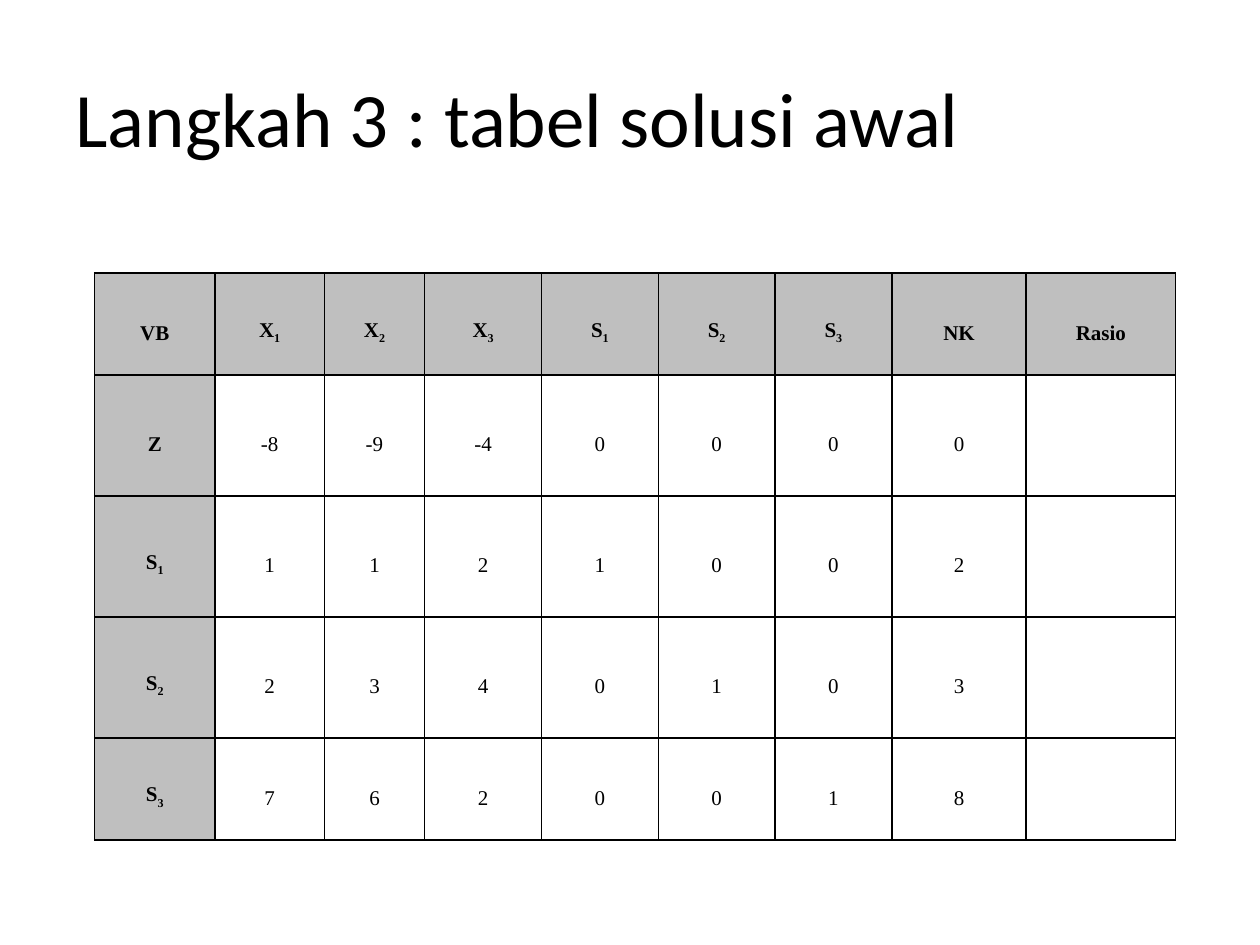
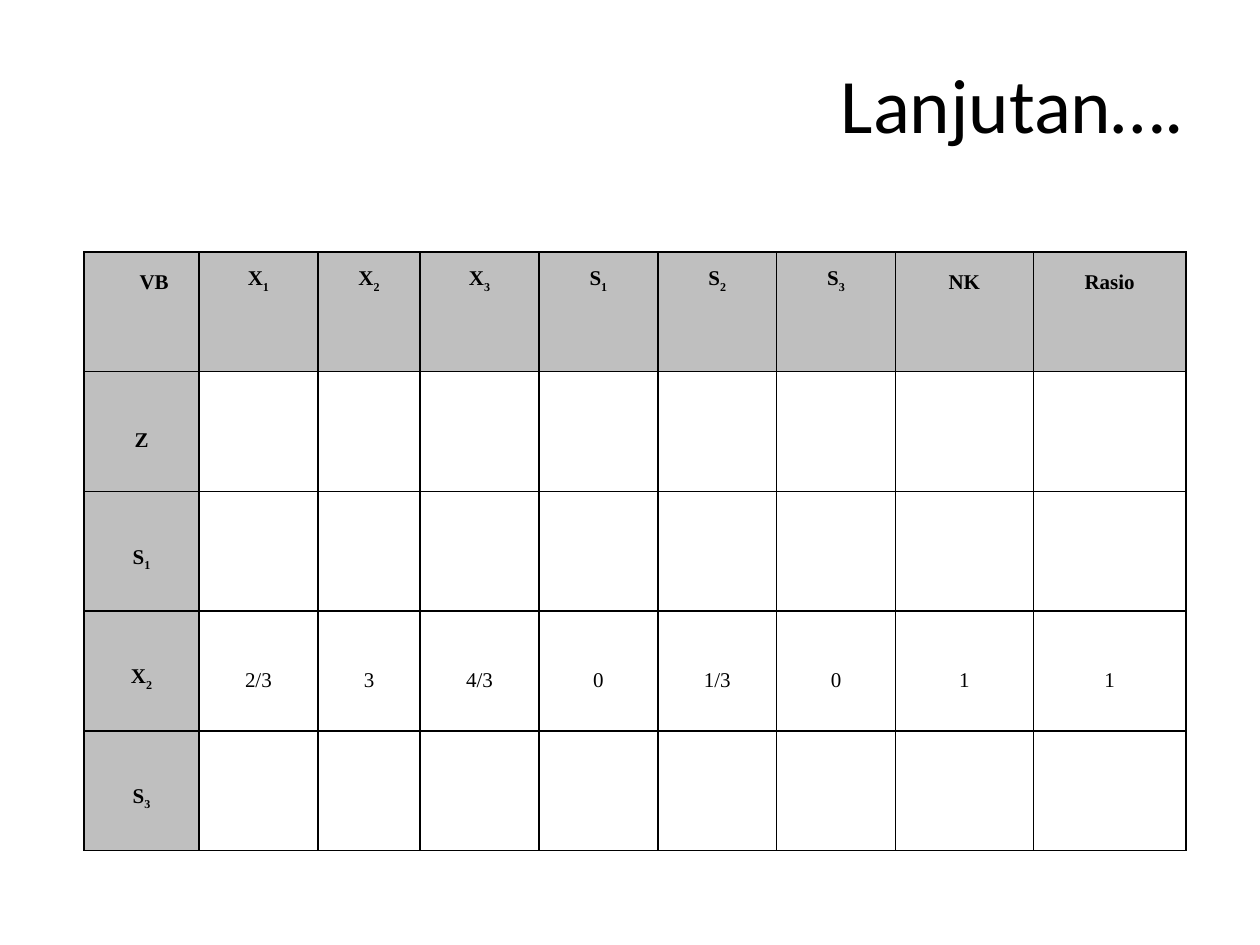
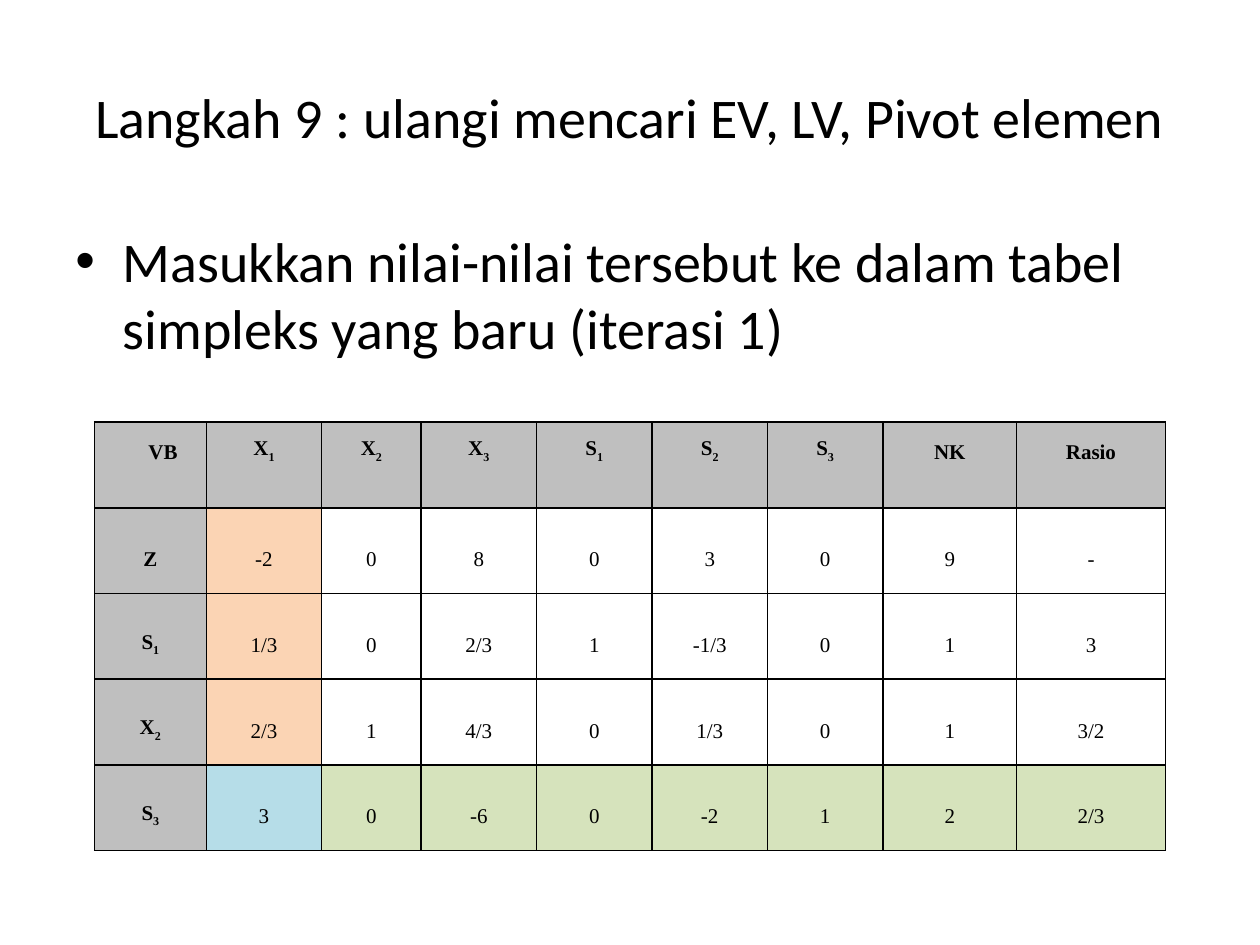
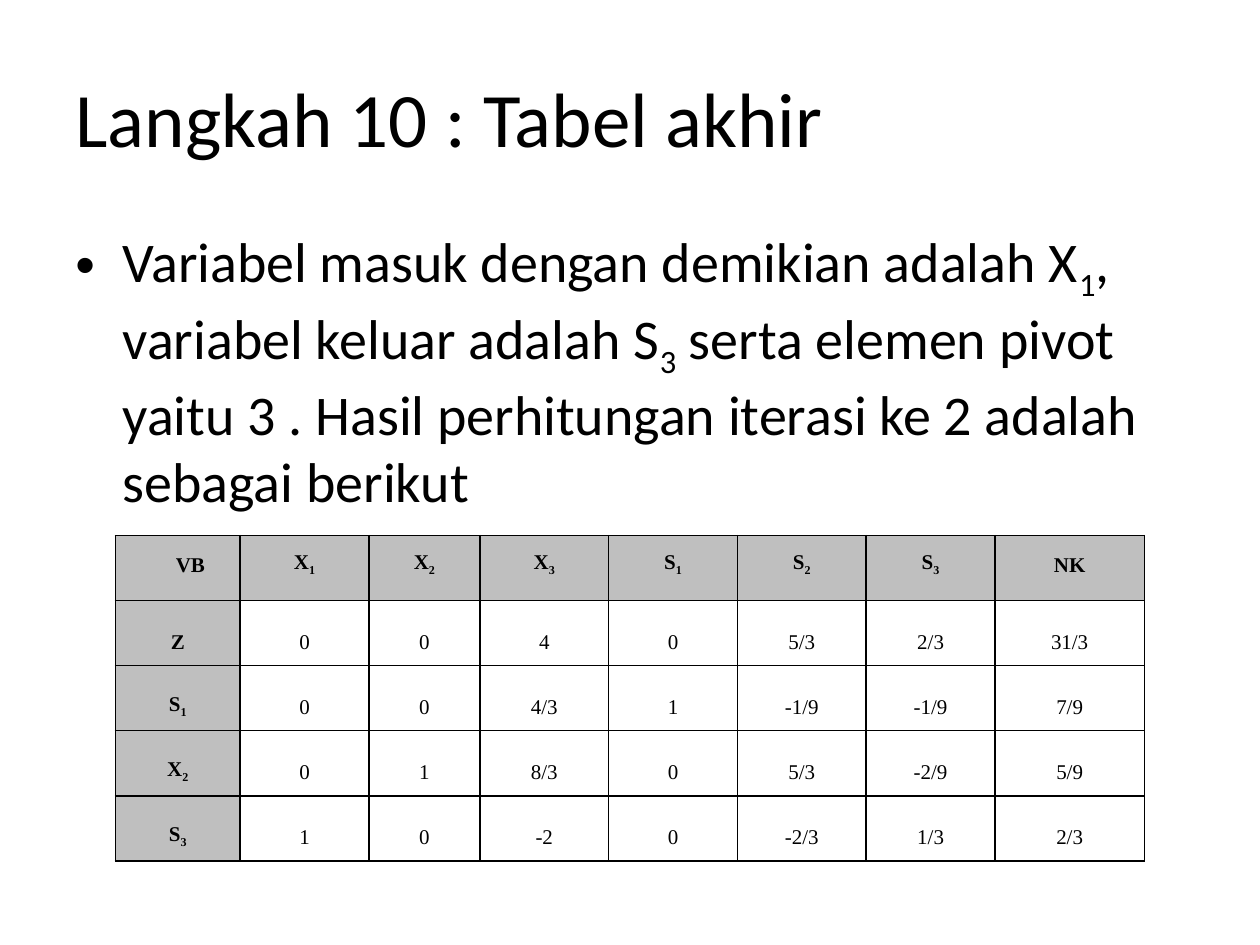
from dataclasses import dataclass
from itertools import product

from lxml import etree
from pptx import Presentation
from pptx.dml.color import RGBColor
from pptx.enum.text import MSO_ANCHOR, MSO_AUTO_SIZE, PP_ALIGN
from pptx.oxml.ns import qn
from pptx.util import Pt


@dataclass(frozen=True)
class Theme:
    """Colours, fonts and type sizes shared by the slides."""
    ink: str = "000000"
    paper: str = "FFFFFF"
    header: str = "BFBFBF"
    pivot_column: str = "FBD4B4"
    pivot_row: str = "D6E3BC"
    pivot: str = "B6DDE8"
    text_font: str = "Calibri"
    table_font: str = "Times New Roman"
    title_size: float = 44
    body_size: float = 32
    table_size: float = 12
    table_leading: float = 23.8


THEME = Theme()
TITLE_BOX = (36, 21.6, 648, 90)
BODY_BOX = (36, 126, 648, 356.4)
TITLE_ONLY = 5
HEADINGS = "VB X_1 X_2 X_3 S_1 S_2 S_3 NK Rasio"
INITIAL_WIDTHS = [96, 87, 80, 93, 93, 93, 93, 107, 119]
ITERATION_WIDTHS = [91, 94, 81, 94, 94, 94, 94, 109, 121]


def write(paragraph, text, font, size, bold=False):
    """Add text to a paragraph; the character after each _ is a subscript."""
    def add(part, subscript=False):
        if part:
            run = paragraph.add_run()
            run.text = part
            run.font.name, run.font.size, run.font.bold = font, Pt(size), bold
            run.font.color.rgb = RGBColor.from_string(THEME.ink)
            if subscript:
                run.font._element.set("baseline", "-25000")

    first, *others = text.split("_")
    add(first)
    for part in others:
        add(part[0], subscript=True)
        add(part[1:])


def add_titled_slide(prs, text, align=PP_ALIGN.LEFT, size=THEME.title_size, box=TITLE_BOX):
    """Add a slide and format its title placeholder in the given box."""
    slide = prs.slides.add_slide(prs.slide_layouts[TITLE_ONLY])
    title = slide.shapes.title
    title.left, title.top, title.width, title.height = map(Pt, box)
    frame = title.text_frame
    frame.auto_size, frame.word_wrap = MSO_AUTO_SIZE.NONE, True
    frame.vertical_anchor = MSO_ANCHOR.MIDDLE
    frame.paragraphs[0].alignment = align
    write(frame.paragraphs[0], text, THEME.text_font, size)
    return slide


def add_bullet(slide, text, box=BODY_BOX):
    """Add one bulleted paragraph with a hanging indent."""
    frame = slide.shapes.add_textbox(*map(Pt, box)).text_frame
    frame.word_wrap = True
    paragraph = frame.paragraphs[0]
    paragraph.space_before = Pt(THEME.body_size * 0.2)
    properties = paragraph._p.get_or_add_pPr()
    properties.set("marL", str(Pt(27)))
    properties.set("indent", str(Pt(-27)))
    etree.SubElement(properties, qn("a:buFont"), typeface="Arial")
    etree.SubElement(properties, qn("a:buChar"), char="•")
    write(paragraph, text, THEME.text_font, THEME.body_size)


def cell_colour(row, column, pivot):
    """Return the fill for a cell, given the pivot's row and column."""
    if row == 0 or column == 0:
        return THEME.header
    if pivot is None:
        return THEME.paper
    if (row, column) == pivot:
        return THEME.pivot
    if row == pivot[0]:
        return THEME.pivot_row
    return THEME.pivot_column if column == pivot[1] else THEME.paper


def style_cell(cell, colour):
    """Give a cell its borders, fill and margins."""
    properties = cell._tc.get_or_add_tcPr()
    for side in ("lnL", "lnR", "lnT", "lnB"):
        line = etree.SubElement(properties, qn(f"a:{side}"), w=str(Pt(1)))
        fill = etree.SubElement(line, qn("a:solidFill"))
        etree.SubElement(fill, qn("a:srgbClr"), val=THEME.ink)
    cell.fill.solid()
    cell.fill.fore_color.rgb = RGBColor.from_string(colour)
    cell.margin_left = cell.margin_right = Pt(5)
    cell.margin_top = cell.margin_bottom = 0


def add_simplex_table(slide, box, rows, widths=ITERATION_WIDTHS, heights=(1,) * 5,
                      headings=HEADINGS, header_on_top=True, pivot=None):
    """Fill the box with a simplex table; widths and heights are proportions."""
    grid = [line.split() for line in (headings, *rows)]
    widths = widths[:len(grid[0])]
    table = slide.shapes.add_table(len(grid), len(widths), *map(Pt, box)).table
    table.first_row = table.horz_banding = False
    for column, share in zip(table.columns, widths):
        column.width = Pt(box[2] * share / sum(widths))
    for row, share in zip(table.rows, heights):
        row.height = Pt(box[3] * share / sum(heights))

    for r, c in product(range(len(grid)), range(len(widths))):
        cell = table.cell(r, c)
        style_cell(cell, cell_colour(r, c, pivot))
        at_top = r == 0 and header_on_top
        cell.vertical_anchor = MSO_ANCHOR.TOP if at_top else MSO_ANCHOR.MIDDLE
        if c >= len(grid[r]):
            continue
        paragraph = cell.text_frame.paragraphs[0]
        paragraph.alignment = PP_ALIGN.CENTER
        paragraph.line_spacing = Pt(THEME.table_leading)
        if at_top and c == 0:
            paragraph._p.get_or_add_pPr().set("indent", str(Pt(14.4)))
        write(paragraph, grid[r][c], THEME.table_font, THEME.table_size,
              bold=r == 0 or c == 0)


def initial_solution(prs):
    """Step 3: the initial table."""
    slide = add_titled_slide(prs, "Langkah 3 : tabel solusi awal")
    add_simplex_table(slide, (54, 156, 618, 324), [
        "Z -8 -9 -4 0 0 0 0",
        "S_1 1 1 2 1 0 0 2",
        "S_2 2 3 4 0 1 0 3",
        "S_3 7 6 2 0 0 1 8",
    ], INITIAL_WIDTHS, heights=(81, 96, 96, 96, 81), header_on_top=False)


def new_pivot_row(prs):
    """Continuation: only the new pivot row is filled in."""
    slide = add_titled_slide(prs, "Lanjutan….", PP_ALIGN.RIGHT, box=(36, 21.6, 648, 74.4))
    add_simplex_table(slide, (48, 144, 630, 342), [
        "Z",
        "S_1",
        "X_2 2/3 3 4/3 0 1/3 0 1 1",
        "S_3",
    ])


def first_iteration(prs):
    """Step 9: the first iteration with its pivot marked."""
    slide = add_titled_slide(prs, "Langkah 9 : ulangi mencari EV, LV, Pivot elemen",
                             PP_ALIGN.CENTER, THEME.body_size)
    add_bullet(slide, "Masukkan nilai-nilai tersebut ke dalam tabel "
                      "simpleks yang baru (iterasi 1)")
    add_simplex_table(slide, (54, 241.2, 612, 244.8), [
        "Z -2 0 8 0 3 0 9 -",
        "S_1 1/3 0 2/3 1 -1/3 0 1 3",
        "X_2 2/3 1 4/3 0 1/3 0 1 3/2",
        "S_3 3 0 -6 0 -2 1 2 2/3",
    ], pivot=(4, 1))


def final_table(prs):
    """Step 10: the final table, without ratios."""
    slide = add_titled_slide(prs, "Langkah 10 : Tabel akhir")
    add_bullet(slide, "Variabel masuk dengan demikian adalah X_1, variabel keluar "
                      "adalah S_3 serta elemen pivot yaitu 3 . Hasil perhitungan "
                      "iterasi ke 2 adalah sebagai berikut")
    add_simplex_table(slide, (66, 306, 588, 186), [
        "Z 0 0 4 0 5/3 2/3 31/3",
        "S_1 0 0 4/3 1 -1/9 -1/9 7/9",
        "X_2 0 1 8/3 0 5/3 -2/9 5/9",
        "S_3 1 0 -2 0 -2/3 1/3 2/3",
    ], headings=HEADINGS.removesuffix(" Rasio"))


def main():
    """Build and save the presentation."""
    prs = Presentation()
    prs.slide_width, prs.slide_height = Pt(720), Pt(540)
    for build in (initial_solution, new_pivot_row, first_iteration, final_table):
        build(prs)
    prs.save("out.pptx")


main()
